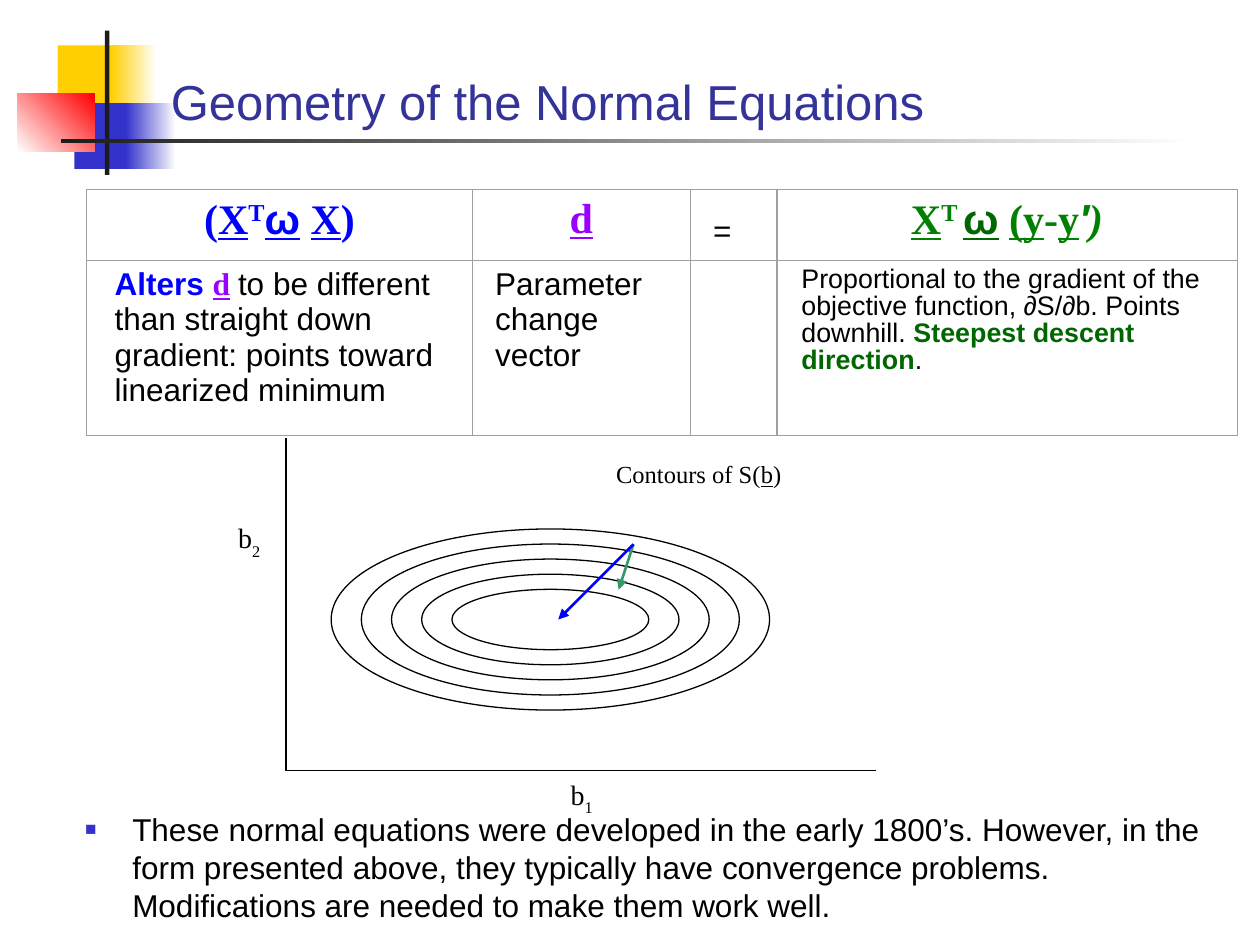
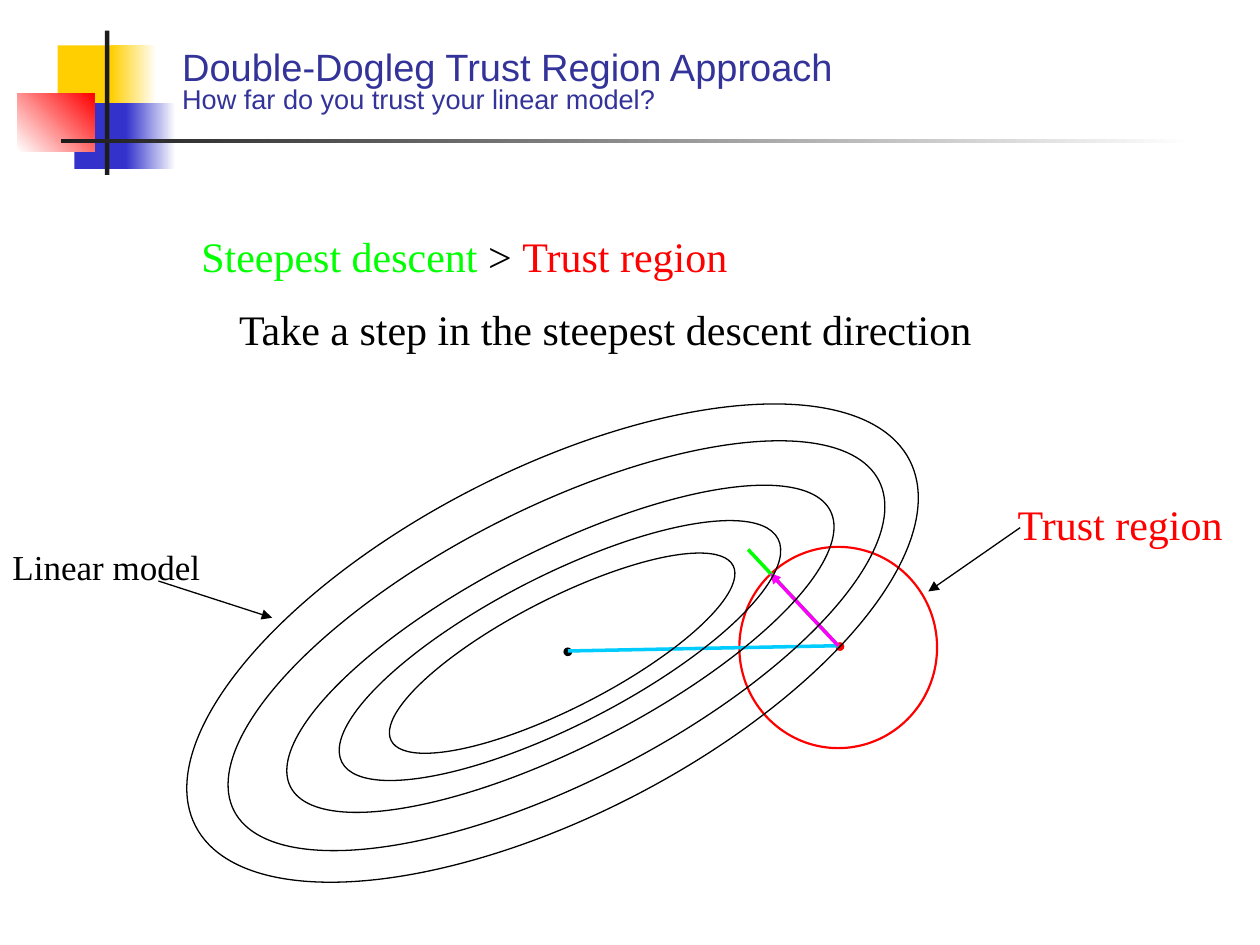
from pptx import Presentation
from pptx.dml.color import RGBColor
from pptx.enum.shapes import MSO_CONNECTOR, MSO_SHAPE
from pptx.enum.text import MSO_ANCHOR, PP_ALIGN
from pptx.oxml.ns import qn
from pptx.oxml.xmlchemy import OxmlElement
from pptx.util import Pt

RECTANGLE, OVAL = MSO_SHAPE.RECTANGLE, MSO_SHAPE.OVAL
STRAIGHT = MSO_CONNECTOR.STRAIGHT
TOP, BOTTOM = MSO_ANCHOR.TOP, MSO_ANCHOR.BOTTOM
LEFT, CENTER = PP_ALIGN.LEFT, PP_ALIGN.CENTER
SANS, SERIF = "Arial", "Times New Roman"
PLAIN_TABLE = "{2D5ABB26-0587-4C30-8999-92F81FD0307C}"
THIN = 0.75
COLORS = {
    "white": "FFFFFF", "black": "000000", "title": "333399", "ink": "1C1C1C",
    "yellow": "FFCF01", "indigo": "3333CC", "red": "FF0000", "grid": "A0A0A0",
    "blue": "0000FF", "purple": "9900FF", "green": "008000",
    "forest": "006600", "sea": "339966", "lime": "00FF00",
    "sky": "00CCFF", "magenta": "FF00FF",
}


def add_element(parent, tag, **attributes):
    """Append an XML element with the given attributes and return it."""
    element = OxmlElement(tag)
    for name, value in attributes.items():
        element.set(name, value)
    parent.append(element)
    return element


class Painter:
    """Hold the deck style and draw on the current slide."""

    def __init__(self, deck):
        self.deck = deck
        self.page = None

    def color(self, name):
        return RGBColor.from_string(COLORS[name])

    def start(self):
        self.page = self.deck.slides.add_slide(self.deck.slide_layouts[6])
        self.shape(RECTANGLE, 33, 26, 34.5, 37.5, fill="yellow")
        self.fade(63.5, 26, 26, 37.5, "yellow", "white")
        self.shape(RECTANGLE, 42.5, 59, 33, 37.5, fill="indigo")
        self.fade(72, 59, 28.5, 37.5, "indigo", "white")
        self.fade(10, 53.5, 44, 33, "white", "red", 45)
        self.shape(RECTANGLE, 60, 17.5, 2.5, 82.5, fill="ink")
        self.fade(35, 79.5, 648, 2.5, "ink", "white")

    def shape(self, kind, left, top, width, height, fill=None, line=None,
              weight=THIN, rotation=0):
        shape = self.page.shapes.add_shape(
            kind, Pt(left), Pt(top), Pt(width), Pt(height))
        shape.shadow.inherit = False
        shape.rotation = rotation
        if fill:
            shape.fill.solid()
            shape.fill.fore_color.rgb = self.color(fill)
        else:
            shape.fill.background()
        if line:
            shape.line.color.rgb = self.color(line)
            shape.line.width = Pt(weight)
        else:
            shape.line.fill.background()
        return shape

    def fade(self, left, top, width, height, first, last, angle=0):
        shape = self.shape(RECTANGLE, left, top, width, height)
        shape.fill.gradient()
        shape.fill.gradient_angle = angle
        for stop, name in zip(shape.fill.gradient_stops, (first, last)):
            stop.color.rgb = self.color(name)

    def line(self, start, end, color="black", weight=THIN, arrow=False):
        points = [Pt(value) for value in (*start, *end)]
        line = self.page.shapes.add_connector(STRAIGHT, *points)
        line.line.color.rgb = self.color(color)
        line.line.width = Pt(weight)
        properties = line._element.spPr
        if arrow:
            add_element(properties.find(qn("a:ln")), "a:tailEnd",
                        type="triangle")
        add_element(properties, "a:effectLst")

    def style(self, font, size=None, face=None, color=None, bold=None,
              underline=None, italic=None):
        if size:
            font.size = Pt(size)
        if face:
            font.name = face
        if color:
            font.color.rgb = self.color(color)
        font.bold, font.underline, font.italic = bold, underline, italic

    def add_spans(self, para, spans, align=LEFT, spacing=None, **base):
        para.alignment = align
        if spacing:
            para.line_spacing = spacing
        self.style(para.font, **base)
        for text, changes in spans:
            changes = dict(changes)
            shift = changes.pop("shift", None)
            span = para.add_run()
            span.text = text
            self.style(span.font, **changes)
            if shift:
                span._r.get_or_add_rPr().set("baseline", str(shift * 1000))

    def text(self, left, top, width, height, spans, size, face=SERIF,
             color="black", anchor=TOP, spacing=None):
        box = self.page.shapes.add_textbox(
            Pt(left), Pt(top), Pt(width), Pt(height))
        box.text_frame.word_wrap = True
        box.text_frame.vertical_anchor = anchor
        para = box.text_frame.paragraphs[0]
        self.add_spans(para, spans, size=size, face=face, color=color,
                       spacing=spacing)
        return para

    def title(self, left, top, height, text, size, spacing=None):
        return self.text(left, top, 613, height, [(text, {})], size, SANS,
                         "title", BOTTOM, spacing)

    def bullet(self, left, top, width, height, text, size):
        para = self.text(left, top, width, height, [(text, {})], size, SANS)
        properties = para._p.get_or_add_pPr()
        properties.set("marL", str(Pt(27)))
        properties.set("indent", str(Pt(-27)))
        marks = [add_element(properties, "a:buClr"),
                 add_element(properties, "a:buSzPct", val="60000"),
                 add_element(properties, "a:buFont", typeface=SANS),
                 add_element(properties, "a:buChar", char="■")]
        add_element(marks[0], "a:srgbClr", val=COLORS["indigo"])
        defaults = properties.find(qn("a:defRPr"))
        for mark in marks:
            defaults.addprevious(mark)

    def border(self, cell):
        properties = cell._tc.get_or_add_tcPr()
        for index, side in enumerate(("a:lnL", "a:lnR", "a:lnT", "a:lnB")):
            edge = add_element(properties, side, w=str(Pt(THIN)))
            fill = add_element(edge, "a:solidFill")
            add_element(fill, "a:srgbClr", val=COLORS["grid"])
            properties.insert(index, edge)

    def table(self, left, top, widths, heights, margins, rows):
        table = self.page.shapes.add_table(
            len(heights), len(widths), Pt(left), Pt(top),
            Pt(sum(widths)), Pt(sum(heights))).table
        table.first_row = table.horz_banding = False
        table._tbl.tblPr.find(qn("a:tableStyleId")).text = PLAIN_TABLE
        for column, width in zip(table.columns, widths):
            column.width = Pt(width)
        for row, height in zip(table.rows, heights):
            row.height = Pt(height)
        for row, contents in zip(table.rows, rows):
            for cell, margin, content in zip(row.cells, margins, contents):
                cell.fill.background()
                cell.margin_left = cell.margin_right = Pt(margin)
                self.border(cell)
                spans, looks = content
                self.add_spans(cell.text_frame.paragraphs[0], spans, **looks)


def draw_geometry(painter):
    painter.start()
    painter.title(90.5, 24, 54, "Geometry of the Normal Equations", 28)
    painter.bullet(
        41.5, 459.5, 661, 74,
        "These normal equations were developed in the early 1800’s. However, "
        "in the form presented above, they typically have convergence "
        "problems. Modifications are needed to make them work well.", 18)

    under = {"underline": True}
    heading = {"size": 24, "face": SERIF, "bold": True, "align": CENTER}
    body = {"size": 18, "face": SANS, "color": "black"}
    matrix = [("(", {}), ("X", under), ("T", {"shift": 30}),
              ("ω", {"face": SANS, **under}), (" ", {}), ("X", under),
              (")", {})]
    gradient = [("X", under), ("T ", {"shift": 30}),
                ("ω", {"face": SANS, "color": "forest", **under}), (" ", {}),
                ("(y", under), ("-", {}), ("y", under),
                ("′", {"face": SANS, "italic": True}),
                (")", {"italic": True})]
    alters = [("Alters ", {"color": "blue", "bold": True}),
              ("d", {"face": SERIF, "color": "purple", "bold": True, **under}),
              (" ", {"face": SERIF}),
              ("to be different than straight down gradient: points toward "
               "linearized minimum", {})]
    downhill = [("Proportional to the gradient of the objective function, "
                 "∂S/∂b. Points downhill. ", {}),
                ("Steepest descent direction",
                 {"color": "forest", "bold": True}), (".", {})]
    painter.table(
        49.5, 108.5, (220.5, 124.5, 49.5, 263), (40.5, 100), (16, 13, 13, 14),
        [[(matrix, {"color": "blue", **heading}),
          ([("d", under)], {"color": "purple", **heading}),
          ([("=", {})], {"spacing": 1.5, **body}),
          (gradient, {"color": "green", **heading})],
         [(alters, body),
          ([("Parameter change vector", {})], body),
          ([], body),
          (downhill, {**body, "size": 15.3, "spacing": 0.9})]])

    origin = (163.5, 440.5)
    painter.line((163.5, 250.5), origin)
    painter.line(origin, (500.5, 440.5))
    center_x, center_y = 314.5, 354
    for ring in range(5):
        width, height = 250.5 - 34.5 * ring, 103.5 - 17.25 * ring
        painter.shape(OVAL, center_x - width / 2, center_y - height / 2,
                      width, height, "white", "black")
    start = (362, 311)
    painter.line(start, (353.5, 337), "sea", 1.5, arrow=True)
    painter.line(start, (319, 354), "blue", 1.5, arrow=True)
    for left, top, digit in ((129, 294, "2"), (319, 440.5, "1")):
        painter.text(left, top, 43, 43,
                     [("b", {}), (digit, {"shift": -30})], 16)
    painter.text(345, 259, 138, 43,
                 [("Contours of S(", {}), ("b", under), (")", {})], 14)


def draw_trust_region(painter):
    painter.start()
    para = painter.title(97, 13, 56, "Double-Dogleg Trust Region Approach",
                         21.7, 0.8)
    para.add_line_break()
    painter.add_spans(para, [("How far do you trust your linear model?",
                              {"size": 15.5})])

    painter.shape(OVAL, 322, 370, 5, 5, "black")
    painter.shape(OVAL, 422.5, 312.5, 113, 115, line="red", weight=1.25)
    painter.shape(OVAL, 477.5, 367, 5, 5, "red")
    start = (479, 369)
    painter.line(start, (324.5, 372), "sky", 2)
    painter.line(start, (427.5, 314), "lime", 2)
    painter.line(start, (440, 327.5), "magenta", 2, arrow=True)
    for box in ((86.5, 268.5, 458.5, 198), (111, 291, 414, 156),
                (147, 314.5, 346.5, 112.5), (180, 329, 280, 85.5),
                (211.5, 342, 219.5, 62.5)):
        painter.shape(OVAL, *box, line="black", rotation=332.9)
    painter.line((90.5, 332), (155.5, 353), arrow=True)
    painter.line((583, 301.5), (530.5, 338), arrow=True)

    painter.text(0, 308, 162, 32, [("Linear model", {})], 20)
    painter.text(108, 128, 330, 36,
                 [("Steepest descent", {"color": "lime"}), (" > ", {}),
                  ("Trust region", {"color": "red"})], 24)
    painter.text(129.5, 170, 450, 36,
                 [("Take a step in the steepest descent direction", {})], 24)
    painter.text(574.5, 281.5, 144, 36, [("Trust region", {})], 24,
                 color="red")


deck = Presentation()
deck.slide_width, deck.slide_height = Pt(720), Pt(540)
painter = Painter(deck)
draw_geometry(painter)
draw_trust_region(painter)
deck.save("out.pptx")
